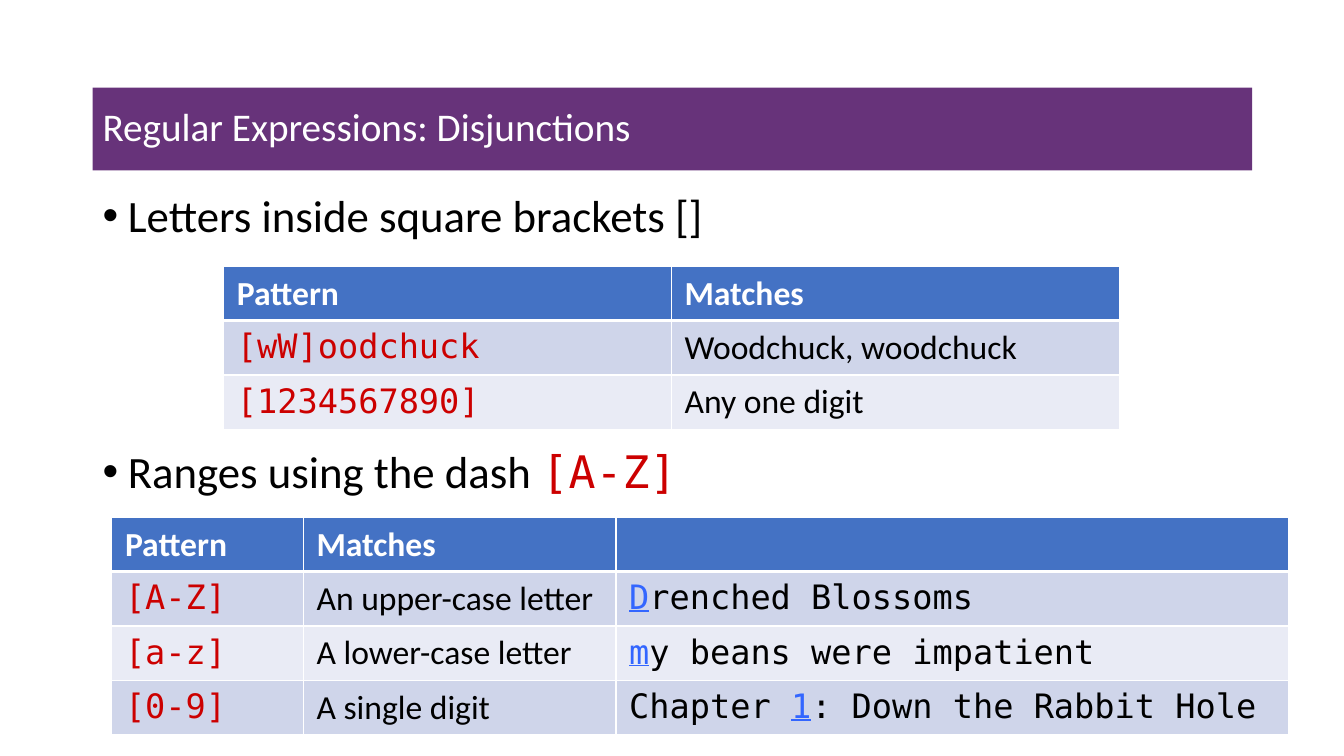
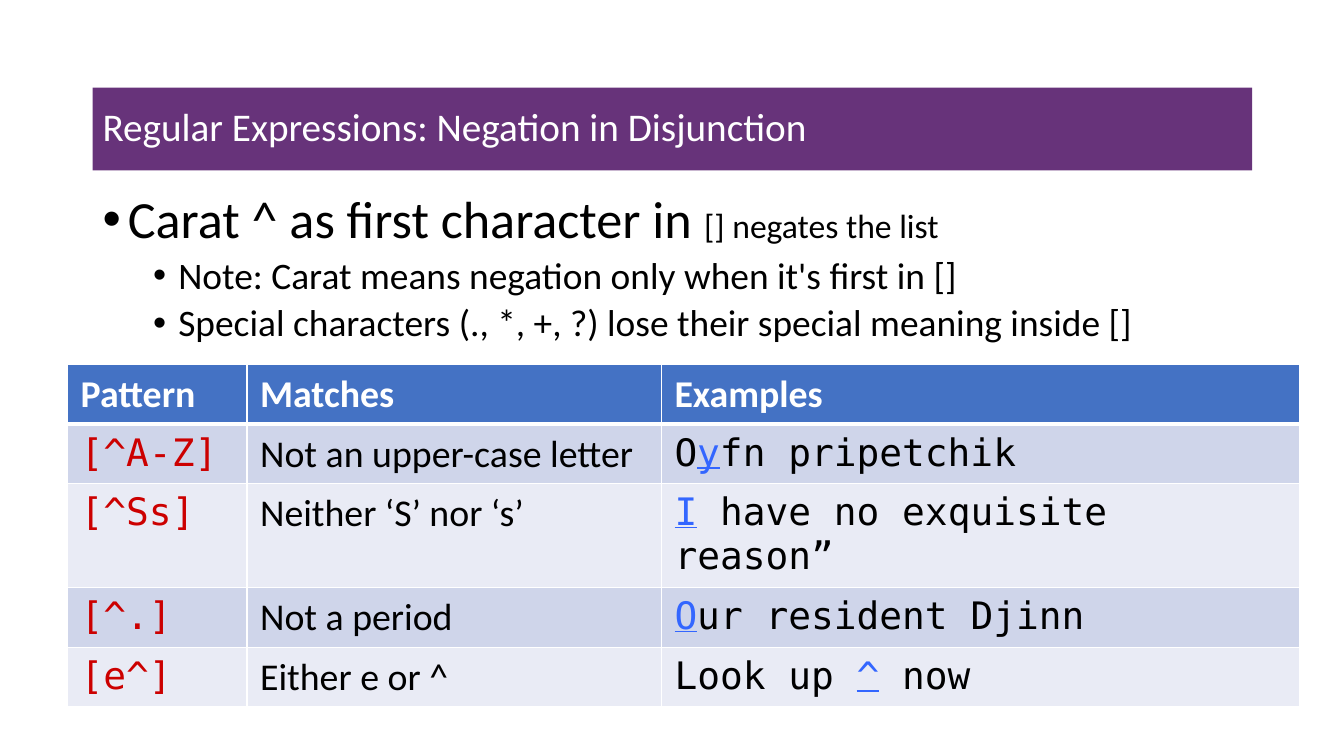
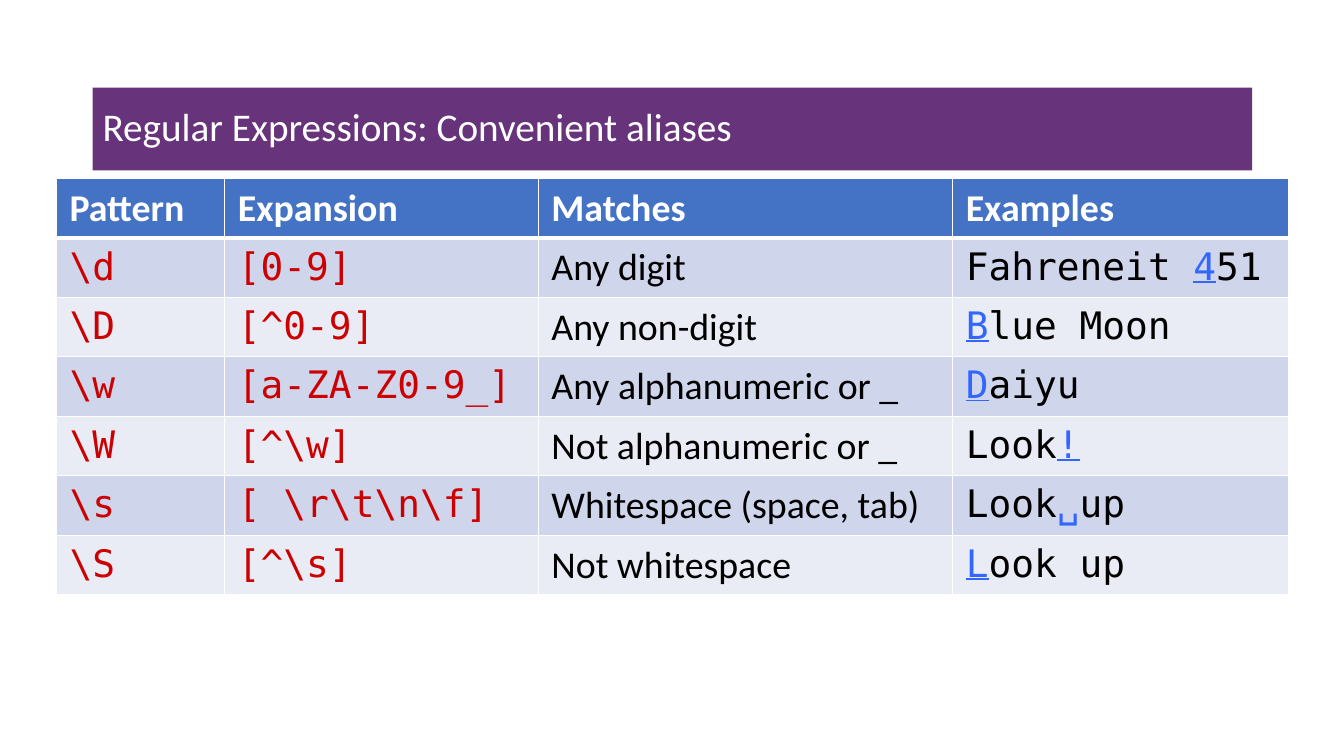
from lxml import etree
from pptx import Presentation
from pptx.dml.color import RGBColor
from pptx.enum import shapes, text
from pptx.oxml import ns
from pptx.util import Inches, Pt

HUES = {
    "band": "67337A", "head": "4472C4", "odd": "CFD5EA", "even": "E9EBF5",
    "white": "FFFFFF", "black": "000000", "red": "CC0000", "blue": "3366FF",
}
SANS, MONO = "Calibri", "DejaVu Sans Mono"

# Text between bars takes the second format: a match, or a change of style
HIT = {"hue": "blue", "line": True}
SPACE = {"hue": "blue"}
CODE = {"font": MONO, "hue": "red"}
COLS = {
    "Pattern": CODE,
    "Expansion": CODE,
    "Matches": {},
    "Examples": {"font": MONO, "alt": HIT},
    "": {"font": MONO, "alt": HIT},
}

# Bullets: (level, size, text, second format)
# Tables: place, column widths, row height, text size, rows
SLIDES = [
    {
        "title": "Regular Expressions: Disjunctions",
        "lists": [
            (1.87, [(0, 32, "Letters inside square brackets []", {})]),
            (4.41, [(0, 32, "Ranges using the dash |[A-Z]|", CODE)]),
        ],
        "tables": [
            {"at": (2.22, 2.64), "cols": (4.44, 4.44), "high": 0.54, "size": 24, "rows": [
                ("Pattern", "Matches"),
                ("[wW]oodchuck", "Woodchuck, woodchuck"),
                ("[1234567890]", "Any one digit"),
            ]},
            {"at": (1.11, 5.13), "cols": (1.9, 3.1, 6.67), "high": 0.54, "size": 24, "rows": [
                ("Pattern", "Matches", ""),
                ("[A-Z]", "An upper-case letter", "|D|renched Blossoms"),
                ("[a-z]", "A lower-case letter", "|m|y beans were impatient"),
                ("[0-9]", "A single digit", "Chapter |1|: Down the Rabbit Hole"),
            ]},
        ],
    },
    {
        "title": "Regular Expressions: Negation in Disjunction",
        "lists": [
            (1.87, [
                (0, 37.3, "Carat ^ as first character in |[] negates the list|", {"size": 24}),
                (1, 26.7, "Note: Carat means negation only when it's first in []", {}),
                (1, 26.7, "Special characters (., *, +, ?) lose their special meaning inside []", {}),
            ]),
        ],
        "tables": [
            {"at": (0.67, 3.62), "cols": (1.78, 4.11, 6.33), "high": 0.59, "size": 27, "rows": [
                ("Pattern", "Matches", "Examples"),
                ("[^A-Z]", "Not an upper-case letter", "O|y|fn pripetchik"),
                ("[^Ss]", "Neither ‘S’ nor ‘s’", "|I| have no exquisite reason”"),
                ("[^.]", "Not a period", "|O|ur resident Djinn"),
                ("[e^]", "Either e or ^", "Look up |^| now"),
            ]},
        ],
    },
    {
        "title": "Regular Expressions: Convenient aliases",
        "lists": [],
        "tables": [
            {"at": (0.56, 1.77), "cols": (1.67, 3.11, 4.11, 3.33), "high": 0.59, "size": 27, "rows": [
                ("Pattern", "Expansion", "Matches", "Examples"),
                (r"\d", "[0-9]", "Any digit", "Fahreneit |4|51"),
                (r"\D", "[^0-9]", "Any non-digit", "|B|lue Moon"),
                (r"\w", "[a-ZA-Z0-9_]", "Any alphanumeric or _", "|D|aiyu"),
                (r"\W", r"[^\w]", "Not alphanumeric or _", "Look|!|"),
                (r"\s", r"[ \r\t\n\f]", "Whitespace (space, tab)", "Look|␣|up"),
                (r"\S", r"[^\s]", "Not whitespace", "|L|ook up"),
            ]},
        ],
    },
]


def rgb(hue):
    return RGBColor.from_string(HUES[hue])


def write(para, words, alt=None, **form):
    """Add runs; every second part between bars takes the format alt."""
    for spot, part in enumerate(words.split("|")):
        if not part:
            continue
        look = {"font": SANS, "hue": "black", "bold": False, "line": False, **form}
        if spot % 2:
            look.update(SPACE if part == "␣" else alt or {})
        run = para.add_run()
        run.text = part
        face = run.font
        face.name, face.size = look["font"], Pt(look["size"])
        face.bold, face.underline = look["bold"], look["line"]
        face.color.rgb = rgb(look["hue"])


def add_title(slide, words):
    band = slide.shapes.add_shape(
        shapes.MSO_SHAPE.RECTANGLE, Inches(0.92), Inches(0.87), Inches(11.5), Inches(0.82))
    band.shadow.inherit = False
    band.fill.solid()
    band.fill.fore_color.rgb = rgb("band")
    band.line.fill.background()
    frame = band.text_frame
    frame.word_wrap = True
    frame.vertical_anchor = text.MSO_ANCHOR.MIDDLE
    para = frame.paragraphs[0]
    para.alignment = text.PP_ALIGN.LEFT
    para.line_spacing = 0.9
    write(para, words, size=28, hue="white")


def add_list(slide, top, items):
    high = 0.6 * len(items)
    box = slide.shapes.add_textbox(Inches(0.92), Inches(top), Inches(11.5), Inches(high))
    frame = box.text_frame
    frame.word_wrap = True
    for spot, (level, size, words, alt) in enumerate(items):
        para = frame.add_paragraph() if spot else frame.paragraphs[0]
        para.level = level
        para.line_spacing = 0.9
        para.space_before = Pt(5 if level else 10)
        write(para, words, alt, size=size)
        # Bullet and hanging indent
        props = para._p.get_or_add_pPr()
        props.set("marL", str(Inches(0.25 + 0.5 * level)))
        props.set("indent", str(Inches(-0.25)))
        etree.SubElement(props, ns.qn("a:buFont")).set("typeface", "Arial")
        etree.SubElement(props, ns.qn("a:buChar")).set("char", "•")


def add_edges(cell, row):
    """White cell borders, thick below the header."""
    props = cell._tc.get_or_add_tcPr()
    widths = {"L": 1, "R": 1, "T": 3 if row == 1 else 1, "B": 1 if row else 3}
    for side, width in widths.items():
        edge = etree.SubElement(props, ns.qn("a:ln" + side), w=str(Pt(width)))
        fill = etree.SubElement(edge, ns.qn("a:solidFill"))
        etree.SubElement(fill, ns.qn("a:srgbClr")).set("val", HUES["white"])


def add_grid(slide, at, cols, high, size, rows):
    left, top = at
    table = slide.shapes.add_table(
        len(rows), len(cols), Inches(left), Inches(top),
        Inches(sum(cols)), Inches(high * len(rows))).table
    for col, width in zip(table.columns, cols):
        col.width = Inches(width)
    for r, row in enumerate(rows):
        table.rows[r].height = Inches(high)
        for c, words in enumerate(row):
            cell = table.cell(r, c)
            cell.margin_left = cell.margin_right = Inches(0.13)
            cell.margin_top, cell.margin_bottom = Inches(0.07), Inches(0.06)
            add_edges(cell, r)
            cell.fill.solid()
            cell.fill.fore_color.rgb = rgb(("odd" if r % 2 else "even") if r else "head")
            form = COLS[rows[0][c]] if r else {"hue": "white", "bold": True}
            write(cell.text_frame.paragraphs[0], words, size=size, **form)


def main():
    deck = Presentation()
    deck.slide_width, deck.slide_height = Inches(13.33), Inches(7.5)
    for page in SLIDES:
        slide = deck.slides.add_slide(deck.slide_layouts[6])
        add_title(slide, page["title"])
        for top, items in page["lists"]:
            add_list(slide, top, items)
        for grid in page["tables"]:
            add_grid(slide, **grid)
    deck.save("out.pptx")


if __name__ == "__main__":
    main()
